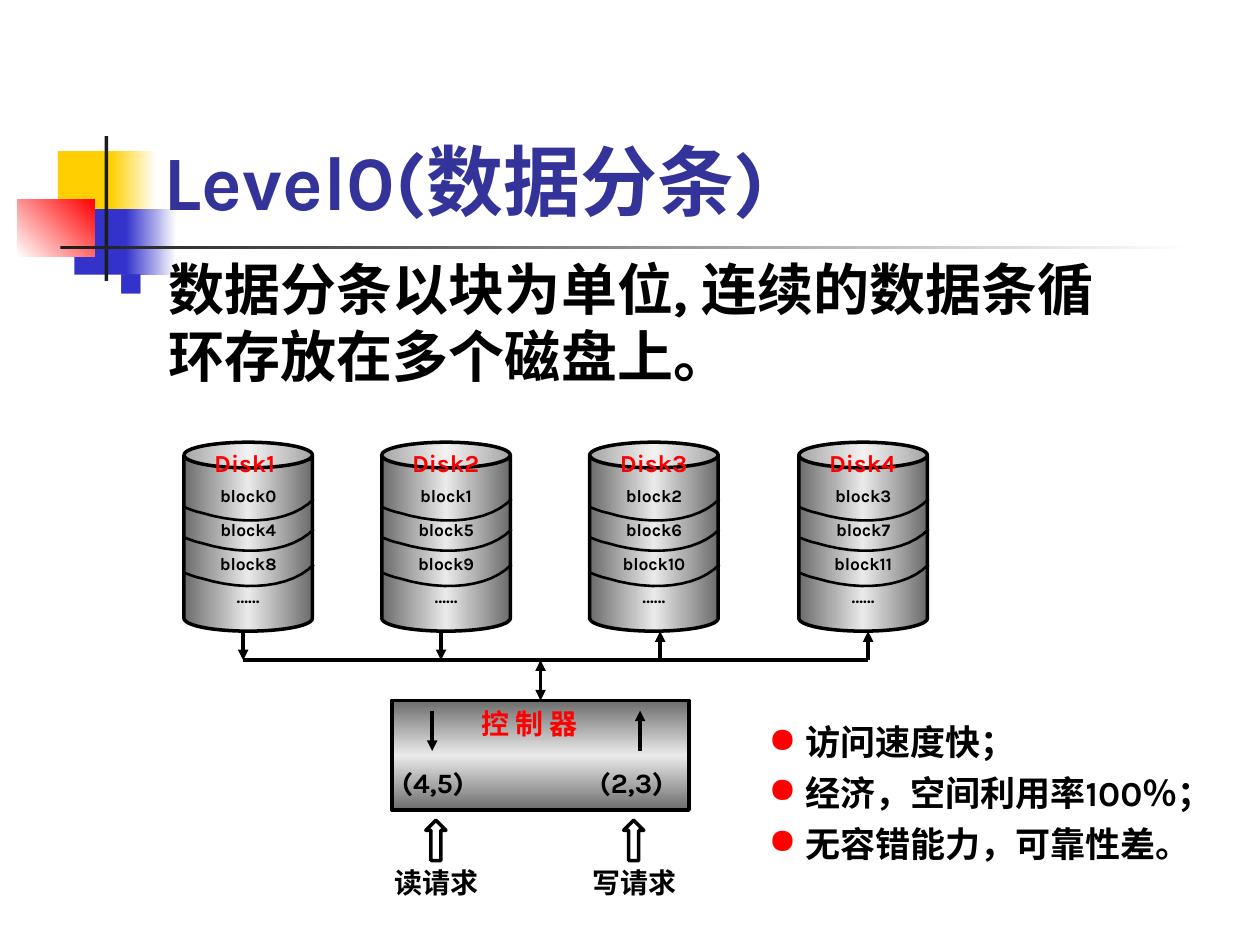
from lxml import etree
from pptx import Presentation, util as u
from pptx.dml.color import RGBColor
from pptx.enum import lang, shapes, text
from pptx.oxml.ns import qn

COLORS = {
    "black": "000000", "white": "FFFFFF", "ink": "1C1C1C", "red": "FF0000",
    "yellow": "FFCF01", "blue": "3333CC", "title": "333399",
    "steel": "6C6C6C", "shine": "EAEAEA",
}
METAL = ("steel", "shine", "steel")
SHAPE = shapes.MSO_SHAPE
CENTER = text.PP_ALIGN.CENTER


def rgb(name):
    return RGBColor.from_string(COLORS[name])


def apply(target, values):
    for name, value in values.items():
        setattr(target, name, value)


def curve_points(start, segments, steps=12):
    """Sample a chain of cubic Bezier segments as points."""
    points = [start]
    for first, second, end in segments:
        for step in range(1, steps + 1):
            t = step / steps
            weights = ((1 - t) ** 3, 3 * t * (1 - t) ** 2, 3 * t * t * (1 - t), t ** 3)
            corners = (start, first, second, end)
            points.append(tuple(
                sum(w * corner[axis] for w, corner in zip(weights, corners))
                for axis in (0, 1)))
        start = end
    return points


class SlideBuilder:
    def __init__(self, slide):
        self.slide = slide
        self.font = {"name": "Karla", "bold": True,
                     "language_id": lang.MSO_LANGUAGE_ID.SIMPLIFIED_CHINESE}

    def paint(self, shape, colors, angle=0):
        """Fill with nothing, one colour, or evenly spaced gradient colours."""
        fill = shape.fill
        if not colors:
            fill.background()
        elif len(colors) == 1:
            fill.solid()
            fill.fore_color.rgb = rgb(colors[0])
        else:
            fill.gradient()
            fill.gradient_angle = angle
            stops = shape._element.spPr.find(".//" + qn("a:gsLst"))
            for stop in list(stops):
                stops.remove(stop)
            for index, name in enumerate(colors):
                position = str(index * 100000 // (len(colors) - 1))
                stop = etree.SubElement(stops, qn("a:gs"), pos=position)
                etree.SubElement(stop, qn("a:srgbClr"), val=COLORS[name])

    def outline(self, line, width):
        if width:
            line.color.rgb = rgb("black")
            line.width = u.Pt(width)
        else:
            line.fill.background()

    def shape(self, kind, box, colors=(), angle=0, line=0, adjustments=()):
        shape = self.slide.shapes.add_shape(kind, *map(u.Inches, box))
        shape.shadow.inherit = False
        for index, value in enumerate(adjustments):
            shape.adjustments[index] = value
        self.paint(shape, colors, angle)
        self.outline(shape.line, line)
        return shape

    def add_lines(self, frame, lines, size, color="black", bullet=None, space=0, **layout):
        for index, words in enumerate(lines):
            paragraph = frame.paragraphs[0] if index == 0 else frame.add_paragraph()
            apply(paragraph, layout)
            if index and space:
                paragraph.space_before = u.Pt(space)
            if bullet:
                self.bullet(paragraph, *bullet)
            run = paragraph.add_run()
            run.text = words
            apply(run.font, {**self.font, "size": u.Pt(size)})
            run.font.color.rgb = rgb(color)

    def bullet(self, paragraph, mark, color, percent, indent):
        properties = paragraph._p.get_or_add_pPr()
        properties.set("marL", str(u.Inches(indent)))
        properties.set("indent", str(-u.Inches(indent)))
        holder = etree.SubElement(properties, qn("a:buClr"))
        etree.SubElement(holder, qn("a:srgbClr"), val=COLORS[color])
        etree.SubElement(properties, qn("a:buSzPct"), val=str(percent * 1000))
        etree.SubElement(properties, qn("a:buChar"), char=mark)

    def text(self, box, lines, size, color="black", anchor=text.MSO_ANCHOR.TOP, **layout):
        frame = self.slide.shapes.add_textbox(*map(u.Inches, box)).text_frame
        apply(frame, {"margin_left": 0, "margin_right": 0, "margin_top": 0,
                      "margin_bottom": 0, "word_wrap": True, "vertical_anchor": anchor})
        self.add_lines(frame, lines, size, color, **layout)

    def line(self, start, end, arrows=()):
        """Draw a line; arrows names the ends (headEnd, tailEnd) with a triangle."""
        connector = self.slide.shapes.add_connector(
            shapes.MSO_CONNECTOR.STRAIGHT, *map(u.Inches, (*start, *end)))
        self.outline(connector.line, 2)
        properties = connector._element.spPr
        for name in arrows:
            etree.SubElement(properties.find(qn("a:ln")), qn("a:" + name), type="triangle")
        etree.SubElement(properties, qn("a:effectLst"))

    def curve(self, points):
        corners = [(u.Inches(x), u.Inches(y)) for x, y in points]
        builder = self.slide.shapes.build_freeform(*corners[0])
        builder.add_line_segments(corners[1:], close=False)
        shape = builder.convert_to_shape()
        shape.shadow.inherit = False
        self.paint(shape, ())
        self.outline(shape.line, 1.5)

    def disk(self, left, number):
        can = self.shape(SHAPE.CAN, (left, 3.51, 1.02, 1.5), METAL, line=2, adjustments=(0.2,))
        frame = can.text_frame
        apply(frame, {"margin_top": 0, "word_wrap": False,
                      "vertical_anchor": text.MSO_ANCHOR.MIDDLE})
        blocks = [f"block{number - 1 + row * 4}" for row in range(3)]
        self.add_lines(frame, blocks + ["……"], 10, alignment=CENTER, line_spacing=1.6)
        self.text((left + 0.24, 3.56, 0.55, 0.23), [f"Disk{number}"], 14, "red")
        for drop in (0, 0.24, 0.52):
            y = 3.96 + drop
            self.curve(curve_points((left + 1.03, y), [
                ((left + 0.86, y + 0.18), (left + 0.5, y + 0.22), (left + 0.14, y + 0.11)),
                ((left + 0.09, y + 0.1), (left + 0.04, y + 0.08), (left - 0.01, y + 0.06)),
            ]))


def main():
    presentation = Presentation()
    presentation.slide_width, presentation.slide_height = u.Inches(10), u.Inches(7.5)
    builder = SlideBuilder(presentation.slides.add_slide(presentation.slide_layouts[6]))

    for box, colors, angle in (
        ((0.46, 1.2, 0.48, 0.52), ("yellow",), 0),
        ((0.88, 1.2, 0.36, 0.52), ("yellow", "white"), 0),
        ((0.59, 1.66, 0.46, 0.52), ("blue",), 0),
        ((1, 1.66, 0.4, 0.52), ("blue", "white"), 0),
        ((0.14, 1.58, 0.61, 0.46), ("white", "red"), 45),
        ((0.83, 1.08, 0.03, 1.15), ("ink",), 0),
        ((0.48, 1.95, 9, 0.03), ("ink", "white"), 0),
    ):
        builder.shape(SHAPE.RECTANGLE, box, colors, angle)

    builder.text((1.3, 1.06, 6.5, 0.73), ["Level0(数据分条)"], 44, "title",
                 text.MSO_ANCHOR.BOTTOM)
    builder.text((0.94, 2.02, 7.95, 1.07),
                 ["数据分条以块为单位, 连续的数据条循环存放在多个磁盘上。"], 32,
                 bullet=("■", "blue", 60, 0.4))
    builder.text((6.1, 5.72, 3.7, 1.14),
                 ["访问速度快；", "经济，空间利用率100％；", "无容错能力，可靠性差。"], 20,
                 bullet=("●", "red", 100, 0.29), space=5)

    for number, left in enumerate((1.46, 3.03, 4.68, 6.34), 1):
        builder.disk(left, number)

    bus = 5.24
    for x, arrow in ((1.93, "tailEnd"), (3.5, "tailEnd"), (5.24, "headEnd"), (6.89, "headEnd")):
        builder.line((x, 5.01), (x, bus), [arrow])
    builder.line((1.93, bus), (6.89, bus))
    builder.line((4.29, bus), (4.29, 5.56), ["headEnd", "tailEnd"])

    builder.shape(SHAPE.RECTANGLE, (3.11, 5.56, 2.36, 0.87), METAL, 90, 2)
    builder.text((3.82, 5.61, 0.87, 0.27), ["控 制 器"], 16, "red")
    for left, arrow_x, arrow, blocks, request in (
        (3.11, 3.43, "tailEnd", "(4,5)", "读请求"),
        (4.68, 5.08, "headEnd", "(2,3)", "写请求"),
    ):
        builder.line((arrow_x, 5.64), (arrow_x, 5.96), [arrow])
        builder.text((left + 0.08, 6.08, 0.63, 0.27), [blocks], 16)
        builder.shape(SHAPE.UP_ARROW, (left + 0.27, 6.51, 0.16, 0.32), line=2,
                      adjustments=(0.5, 0.5))
        builder.text((left, 6.87, 0.71, 0.27), [request], 16, alignment=CENTER)

    presentation.save("out.pptx")


if __name__ == "__main__":
    main()
